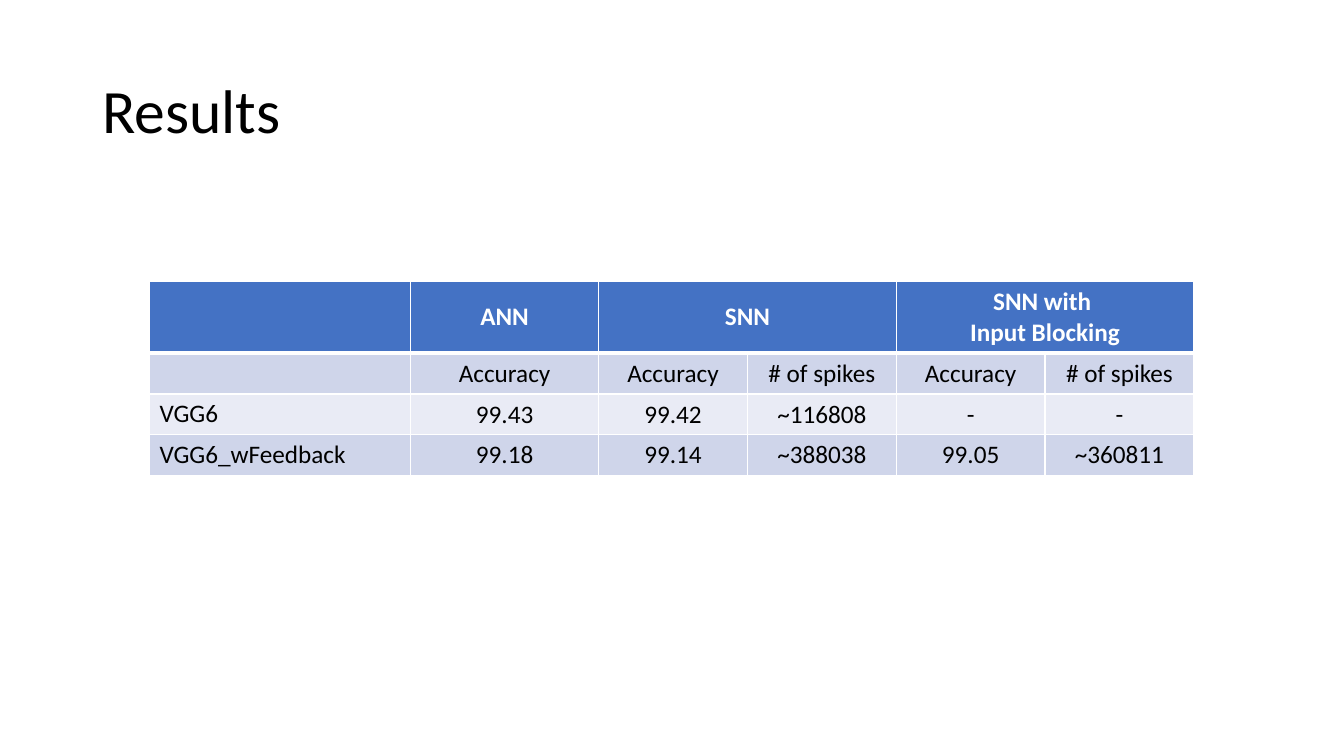
import pptx
import pptx.util
import pptx.dml.color
import pptx.enum.text
import pptx.oxml
import pptx.oxml.ns

Pt = pptx.util.Pt
RGBColor = pptx.dml.color.RGBColor
PP_ALIGN = pptx.enum.text.PP_ALIGN
MSO_ANCHOR = pptx.enum.text.MSO_ANCHOR

FONT = "Calibri"
BLACK = RGBColor(0x00, 0x00, 0x00)
WHITE = RGBColor(0xFF, 0xFF, 0xFF)
HEADER_BLUE = RGBColor(0x44, 0x72, 0xC4)
BAND_DARK = RGBColor(0xCF, 0xD5, 0xEA)
BAND_LIGHT = RGBColor(0xE9, 0xEB, 0xF5)

ROW_FILLS = [HEADER_BLUE, BAND_DARK, BAND_LIGHT, BAND_DARK]
COLUMN_SHARES = [0.25, 0.18] + [0.1425] * 4
HEADER_HEIGHT = 50.4
RESULTS = [
    ["", "ANN", "SNN", "", "SNN with \nInput Blocking", ""],
    ["", "Accuracy", "Accuracy", "# of spikes", "Accuracy", "# of spikes"],
    ["VGG6", "99.43", "99.42", "~116808", "-", "-"],
    ["VGG6_wFeedback", "99.18", "99.14", "~388038", "99.05", "~360811"],
]


def format_text(tf, size, color, align, bold=False):
    for p in tf.paragraphs:
        p.alignment = align
        for r in p.runs:
            r.font.name = FONT
            r.font.size = Pt(size)
            r.font.bold = bold
            r.font.color.rgb = color


def set_borders(cell, widths):
    """Draw white borders; widths maps each side (L, R, T, B) to points."""
    tcPr = cell._tc.get_or_add_tcPr()
    for i, (side, width) in enumerate(widths.items()):
        tcPr.insert(i, pptx.oxml.parse_xml(
            f'<a:ln{side} {pptx.oxml.ns.nsdecls("a")} w="{Pt(width)}">'
            f'<a:solidFill><a:srgbClr val="{WHITE}"/></a:solidFill></a:ln{side}>'))


def add_title(slide, text, left, top, width, height):
    sp = slide.shapes.title
    sp.left, sp.top, sp.width, sp.height = Pt(left), Pt(top), Pt(width), Pt(height)
    tf = sp.text_frame
    tf.text = text
    tf.vertical_anchor = MSO_ANCHOR.MIDDLE
    tf.paragraphs[0].line_spacing = 0.9
    format_text(tf, 44, BLACK, PP_ALIGN.LEFT)


def add_results_table(slide, left, top, width, height):
    table = slide.shapes.add_table(
        len(RESULTS), len(COLUMN_SHARES),
        Pt(left), Pt(top), Pt(width), Pt(height)).table
    for column, share in zip(table.columns, COLUMN_SHARES):
        column.width = Pt(width * share)
    body_height = (height - HEADER_HEIGHT) / (len(RESULTS) - 1)
    for i, row in enumerate(table.rows):
        header = i == 0
        row.height = Pt(HEADER_HEIGHT if header else body_height)
        for j, text in enumerate(RESULTS[i]):
            cell = table.cell(i, j)
            cell.text_frame.text = text
            cell.vertical_anchor = MSO_ANCHOR.MIDDLE if j else MSO_ANCHOR.TOP
            format_text(cell.text_frame, 18, WHITE if header else BLACK,
                        PP_ALIGN.CENTER if j else PP_ALIGN.LEFT, header)
            cell.fill.solid()
            cell.fill.fore_color.rgb = ROW_FILLS[i]
            set_borders(cell, {"L": 1, "R": 1, "T": 3 if i == 1 else 1,
                               "B": 3 if header else 1})
    for j in (2, 4):
        table.cell(0, j).merge(table.cell(0, j + 1))


def main():
    prs = pptx.Presentation()
    prs.slide_width, prs.slide_height = Pt(960), Pt(540)
    slide = prs.slides.add_slide(prs.slide_layouts[5])
    add_title(slide, "Results", 66, 28.75, 828, 104.4)
    add_results_table(slide, 106.8, 201, 746, 138)
    prs.save("out.pptx")


if __name__ == "__main__":
    main()
